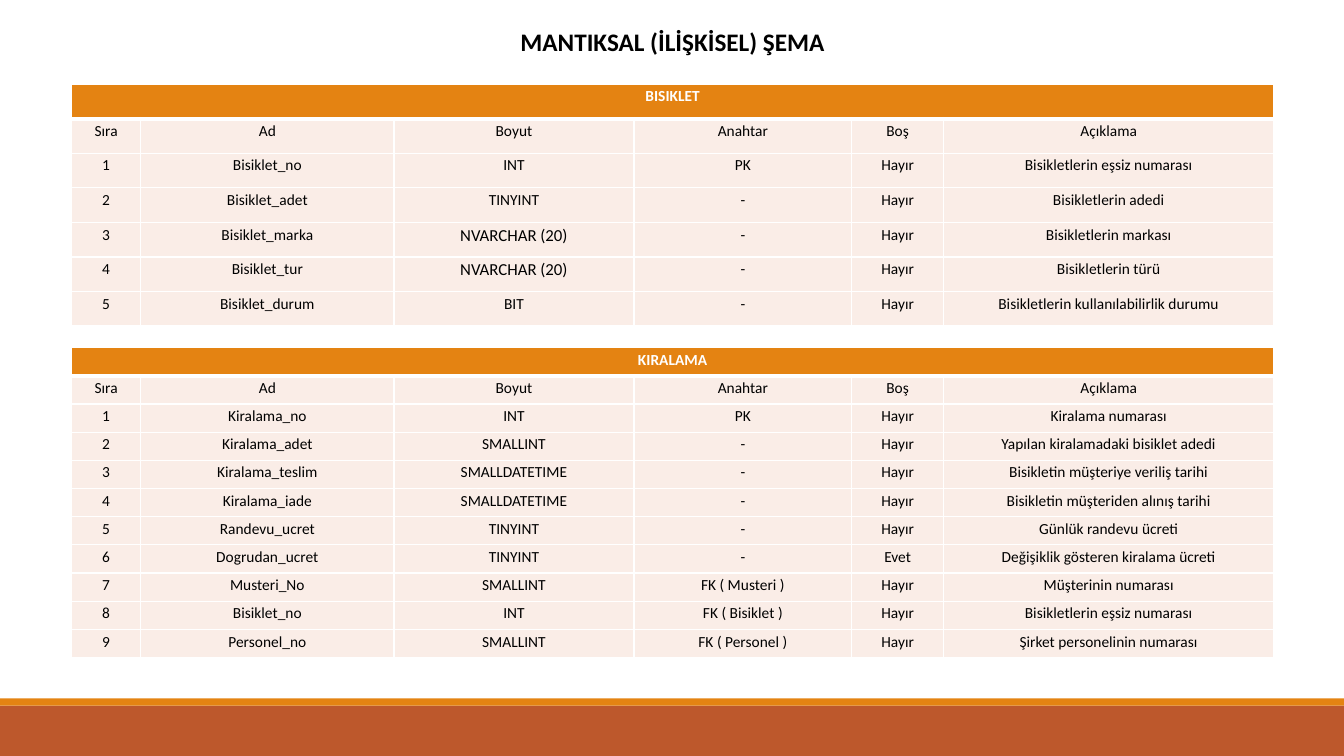
from dataclasses import dataclass

from lxml.etree import SubElement
from pptx import Presentation
from pptx.dml.color import RGBColor
from pptx.enum.shapes import MSO_SHAPE
from pptx.enum.text import MSO_ANCHOR, MSO_AUTO_SIZE, PP_ALIGN
from pptx.oxml.ns import qn
from pptx.util import Cm, Pt


@dataclass(frozen=True)
class Theme:
    """Colours, font and type sizes of the deck."""
    font: str = "Calibri"
    dark: str = "000000"
    light: str = "FFFFFF"
    orange: str = "E48312"
    rust: str = "BD582C"
    pale: str = "FAEDE7"
    title: int = 18
    body: int = 11
    large: int = 12


THEME = Theme()
WIDE, HIGH = 33.87, 19.05
COLS = (1.75, 6.38, 6.05, 5.49, 2.31, 8.33)
HEADS = ("Sıra", "Ad", "Boyut", "Anahtar", "Boş", "Açıklama")
BIKES = (
    ("Bisiklet_no", "INT", "PK", "Hayır", "Bisikletlerin eşsiz numarası"),
    ("Bisiklet_adet", "TINYINT", "-", "Hayır", "Bisikletlerin adedi"),
    ("Bisiklet_marka", "NVARCHAR (20)", "-", "Hayır", "Bisikletlerin markası"),
    ("Bisiklet_tur", "NVARCHAR (20)", "-", "Hayır", "Bisikletlerin türü"),
    ("Bisiklet_durum", "BIT", "-", "Hayır", "Bisikletlerin kullanılabilirlik durumu"),
)
RENTALS = (
    ("Kiralama_no", "INT", "PK", "Hayır", "Kiralama numarası"),
    ("Kiralama_adet", "SMALLINT", "-", "Hayır", "Yapılan kiralamadaki bisiklet adedi"),
    ("Kiralama_teslim", "SMALLDATETIME", "-", "Hayır", "Bisikletin müşteriye veriliş tarihi"),
    ("Kiralama_iade", "SMALLDATETIME", "-", "Hayır", "Bisikletin müşteriden alınış tarihi"),
    ("Randevu_ucret", "TINYINT", "-", "Hayır", "Günlük randevu ücreti"),
    ("Dogrudan_ucret", "TINYINT", "-", "Evet", "Değişiklik gösteren kiralama ücreti"),
    ("Musteri_No", "SMALLINT", "FK ( Musteri )", "Hayır", "Müşterinin numarası"),
    ("Bisiklet_no", "INT", "FK ( Bisiklet )", "Hayır", "Bisikletlerin eşsiz numarası"),
    ("Personel_no", "SMALLINT", "FK ( Personel )", "Hayır", "Şirket personelinin numarası"),
)


def write(frame, text, size=THEME.body, color=THEME.dark, bold=False, line=1.0, gap=0):
    """Write one centred paragraph into a text frame."""
    para = frame.paragraphs[0]
    para.alignment = PP_ALIGN.CENTER
    para.line_spacing = line
    para.space_before = para.space_after = Pt(gap)
    run = para.add_run()
    run.text = text
    run.font.name = THEME.font
    run.font.size = Pt(size)
    run.font.bold = bold
    run.font.color.rgb = RGBColor.from_string(color)


def edge(cell, top=1, bottom=1):
    """Draw the light borders of a cell, with widths in points."""
    props = cell._tc.get_or_add_tcPr()
    for side, width in (("L", 1), ("R", 1), ("T", top), ("B", bottom)):
        line = SubElement(props, qn(f"a:ln{side}"), w=str(Pt(width)))
        fill = SubElement(line, qn("a:solidFill"))
        SubElement(fill, qn("a:srgbClr"), val=THEME.light)


def style(cell, fill, **widths):
    """Set the borders, fill and margins of a cell."""
    edge(cell, **widths)
    cell.fill.solid()
    cell.fill.fore_color.rgb = RGBColor.from_string(fill)
    cell.margin_left = cell.margin_right = Cm(0.18)
    cell.margin_top = cell.margin_bottom = 0


def schema(slide, name, fields, left, top, width, height):
    """Build a schema table with a merged name row inside the given box."""
    rows = [HEADS] + [(str(num), *field) for num, field in enumerate(fields, 1)]
    count = len(rows) + 1
    table = slide.shapes.add_table(
        count, len(COLS), Cm(left), Cm(top), Cm(width), Cm(height)).table
    for col, share in zip(table.columns, COLS):
        col.width = Cm(width * share / sum(COLS))
    for row in table.rows:
        row.height = Cm(height / count)
    for cell in table.rows[0].cells:
        style(cell, THEME.orange, bottom=3)
    table.cell(0, 0).merge(table.cell(0, len(COLS) - 1))
    write(table.cell(0, 0).text_frame, name, color=THEME.light, bold=True, line=1.15, gap=2)
    for index, row in enumerate(rows, 1):
        for col, text in enumerate(row):
            cell = table.cell(index, col)
            style(cell, THEME.pale, top=3 if index == 1 else 1)
            size = THEME.large if text.startswith("NVARCHAR") else THEME.body
            write(cell.text_frame, text, size=size, line=1.15, gap=2)


def heading(slide, text, left, top, width, height):
    """Place and format the slide title in the given box."""
    title = slide.shapes.title
    title.left, title.top, title.width, title.height = map(Cm, (left, top, width, height))
    frame = title.text_frame
    frame.word_wrap = True
    frame.auto_size = MSO_AUTO_SIZE.SHAPE_TO_FIT_TEXT
    frame.vertical_anchor = MSO_ANCHOR.TOP
    write(frame, text, size=THEME.title, bold=True)


def footer(slide, left, top, width, height):
    """Fill the given box with a thin orange strip above a rust band."""
    strip = 0.18
    bands = ((top + strip, height - strip, THEME.rust), (top, strip, THEME.orange))
    for start, depth, color in bands:
        band = slide.shapes.add_shape(
            MSO_SHAPE.RECTANGLE, Cm(left), Cm(start), Cm(width), Cm(depth))
        band.shadow.inherit = False
        band.fill.solid()
        band.fill.fore_color.rgb = RGBColor.from_string(color)
        band.line.fill.background()


def main():
    """Build and save the schema slide."""
    deck = Presentation()
    deck.slide_width, deck.slide_height = Cm(WIDE), Cm(HIGH)
    slide = deck.slides.add_slide(deck.slide_layouts[5])
    footer(slide, 0, 17.6, WIDE, HIGH - 17.6)
    heading(slide, "MANTIKSAL (İLİŞKİSEL) ŞEMA ", 9.55, 0.53, 14.94, 1.03)
    schema(slide, "BISIKLET", BIKES, 1.8, 2.12, 30.31, 6.1)
    schema(slide, "KIRALAMA", RENTALS, 1.8, 8.76, 30.31, 7.82)
    deck.save("out.pptx")


if __name__ == "__main__":
    main()
